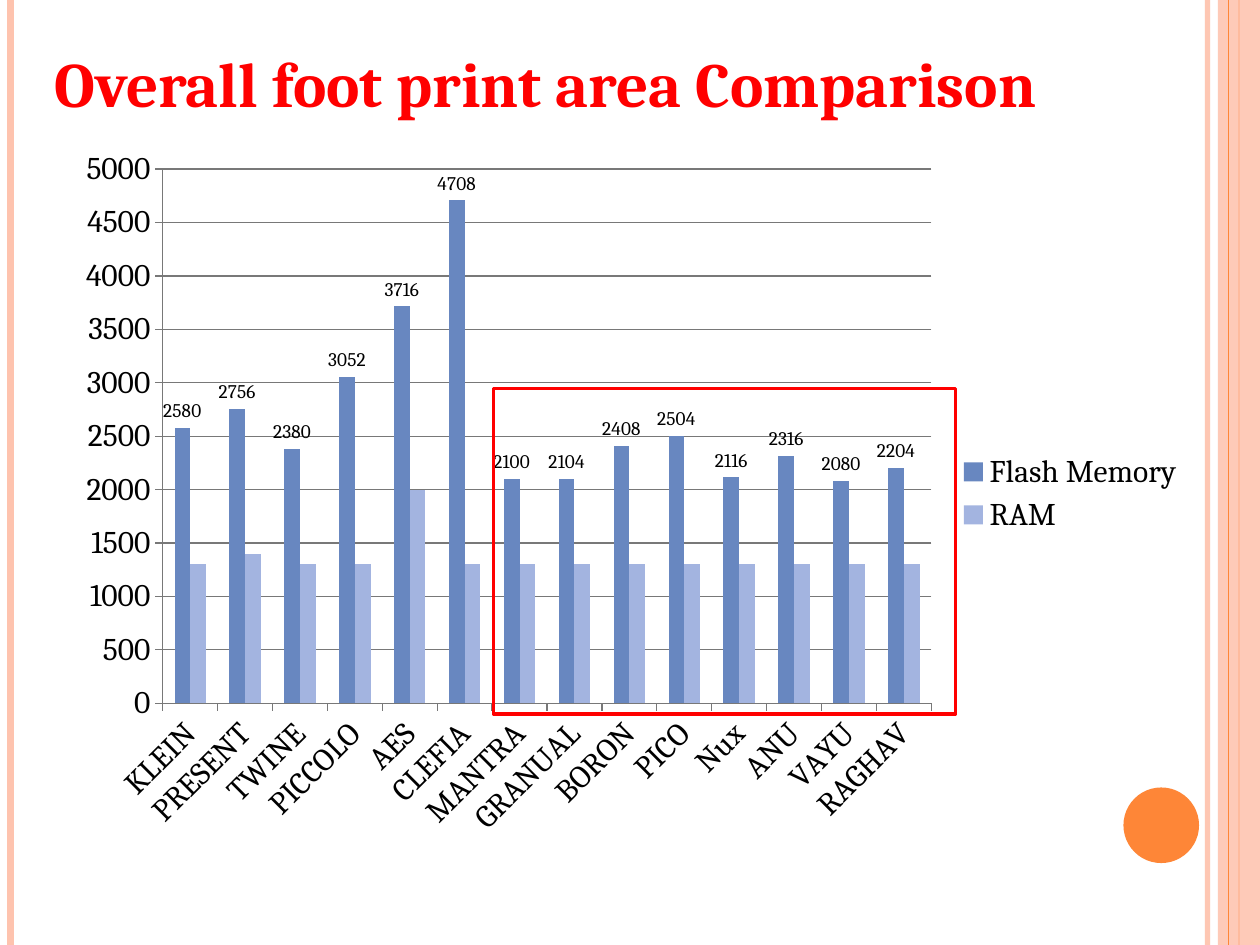
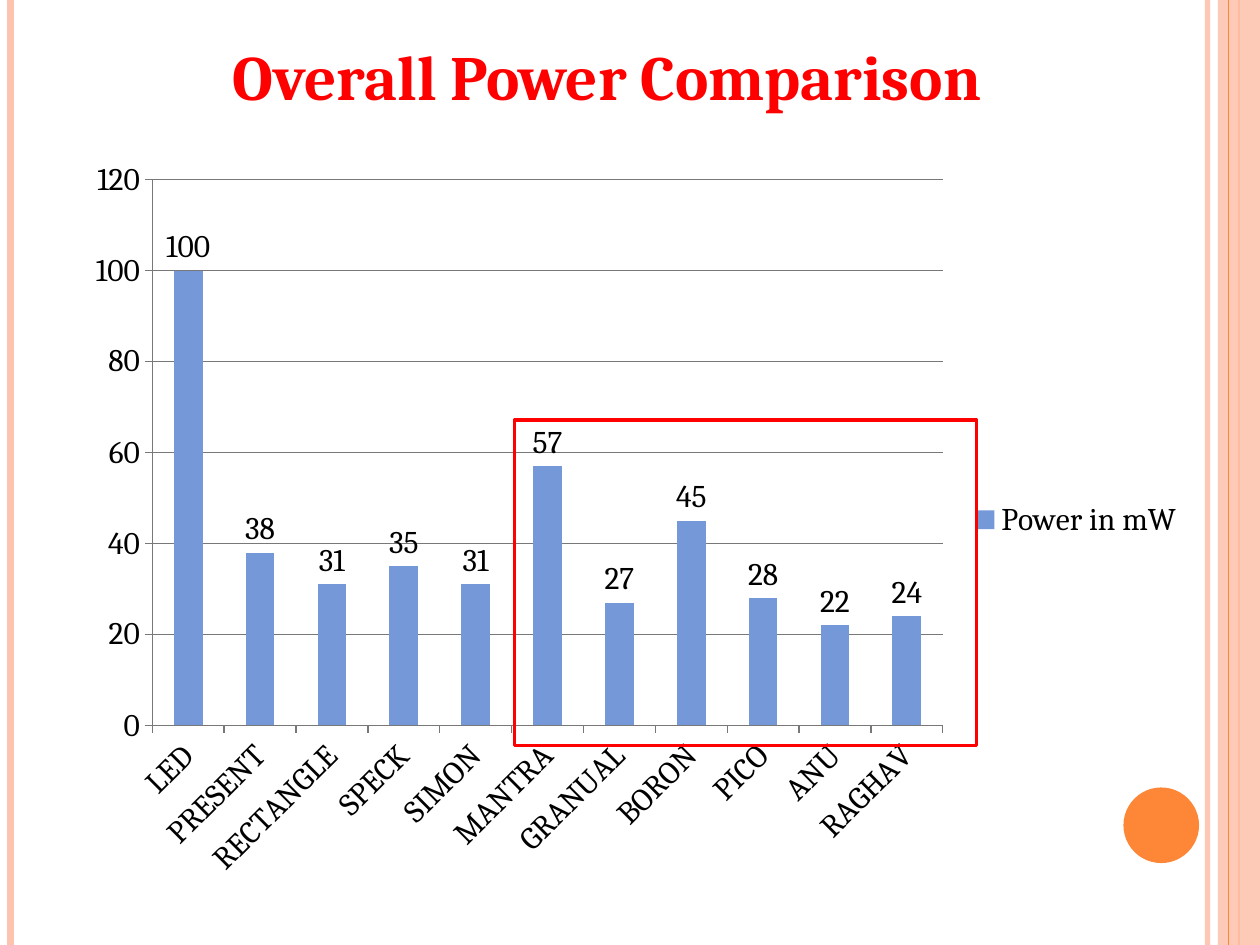
from dataclasses import dataclass

from lxml import etree
from pptx import Presentation
from pptx import util as u
from pptx.chart.data import CategoryChartData
from pptx.dml.color import RGBColor
from pptx.enum import chart as charts, shapes, text
from pptx.oxml import parse_xml
from pptx.oxml.ns import nsdecls, qn

EMU_PER_PX = 7620  # 120 px to the inch
SLIDE_BOX = (0, 0, 1200, 900)


@dataclass(frozen=True)
class Theme:
    font: str = "Cambria"
    title_size: int = 36
    chart_size: int = 18
    small_label_size: int = 11
    black: str = "000000"
    red: str = "FF0000"
    peach: str = "FEC3AE"
    orange: str = "FE8637"
    grid: str = "787878"
    dark_blue: str = "6887C0"
    light_blue: str = "A3B4E0"
    blue: str = "7598D9"


THEME = Theme()


@dataclass(frozen=True)
class Series:
    name: str
    values: tuple
    color: str
    label_size: int = 0  # 0 leaves the bars unlabelled


def px(length):
    return u.Emu(length * EMU_PER_PX)


def px_box(box):
    return [px(length) for length in box]


def rgb(color):
    return RGBColor.from_string(color)


def set_alpha(element, percent):
    color = next(element.iter(qn("a:srgbClr")))
    etree.SubElement(color, qn("a:alpha")).set("val", str(percent * 1000))


def style_font(font, size, color=THEME.black, bold=False):
    font.name = THEME.font
    font.size = u.Pt(size)
    font.bold = bold
    font.color.rgb = rgb(color)


def style_line(line, color, width):
    line.color.rgb = rgb(color)
    line.width = u.Pt(width)


def add_filled_shape(slide, kind, box, color):
    shape = slide.shapes.add_shape(kind, *px_box(box))
    shape.shadow.inherit = False
    shape.fill.solid()
    shape.fill.fore_color.rgb = rgb(color)
    shape.line.fill.background()
    return shape


def add_vertical_line(slide, x, top, height, color, width):
    connector = slide.shapes.add_connector(
        shapes.MSO_CONNECTOR.STRAIGHT, px(x), px(top), px(x), px(top + height))
    style_line(connector.line, color, width)
    etree.SubElement(connector._element.spPr, qn("a:effectLst"))
    return connector


def add_side_bands(slide, box):
    """Stripes along both edges and the round badge at lower right."""
    left, top, width, height = box
    right = left + width
    inner = add_vertical_line(slide, right - 50, top, height, THEME.peach, 3)
    set_alpha(inner._element, 93)
    add_vertical_line(slide, left + 10, top, height, THEME.peach, 4.5)
    add_vertical_line(slide, right - 20, top, height, THEME.orange, 1.5)
    band = add_filled_shape(slide, shapes.MSO_SHAPE.RECTANGLE,
                            (right - 40, top, 40, height), THEME.peach)
    set_alpha(band._element, 87)
    add_vertical_line(slide, right - 30, top, height, THEME.orange, 0.75)
    add_filled_shape(slide, shapes.MSO_SHAPE.OVAL,
                     (right - 130, top + height - 150, 72, 72), THEME.orange)


def add_title(slide, box, title):
    frame = slide.shapes.add_textbox(*px_box(box)).text_frame
    frame.word_wrap = True
    frame.auto_size = text.MSO_AUTO_SIZE.SHAPE_TO_FIT_TEXT
    frame.text = title
    style_font(frame.paragraphs[0].runs[0].font, THEME.title_size, THEME.red, True)


def set_plot_area(chart, chart_box, plot_box):
    """Fix the inner plot area, as fractions of the chart box."""
    left, top, width, height = chart_box
    fractions = {
        "x": (plot_box[0] - left) / width,
        "y": (plot_box[1] - top) / height,
        "w": plot_box[2] / width,
        "h": plot_box[3] / height,
    }
    modes = '<c:xMode val="edge"/><c:yMode val="edge"/>'
    sizes = "".join(f'<c:{key} val="{value:.4f}"/>' for key, value in fractions.items())
    layout = parse_xml(
        f'<c:layout {nsdecls("c")}><c:manualLayout><c:layoutTarget val="inner"/>'
        f"{modes}{sizes}</c:manualLayout></c:layout>")
    plot_area = next(chart._chartSpace.iter(qn("c:plotArea")))
    for previous in plot_area.findall(qn("c:layout")):
        plot_area.remove(previous)
    plot_area.insert(0, layout)


def style_axes(chart, maximum, step):
    value_axis, category_axis = chart.value_axis, chart.category_axis
    value_axis.minimum_scale = 0
    value_axis.maximum_scale = maximum
    value_axis.major_unit = step
    value_axis.has_major_gridlines = True
    style_line(value_axis.major_gridlines.format.line, THEME.grid, 0.75)
    for axis in (value_axis, category_axis):
        axis.major_tick_mark = charts.XL_TICK_MARK.OUTSIDE
        style_line(axis.format.line, THEME.grid, 0.75)
        style_font(axis.tick_labels.font, THEME.chart_size)
    # Category names slant upwards at 45 degrees
    category_axis._element.txPr.find(qn("a:bodyPr")).set("rot", "-2700000")


def style_series(plot, series_list):
    plot.gap_width = 150
    plot.overlap = 0
    plot.vary_by_categories = False
    for bars, series in zip(plot.series, series_list):
        bars.format.fill.solid()
        bars.format.fill.fore_color.rgb = rgb(series.color)
        if series.label_size:
            labels = bars.data_labels
            labels.show_value = True
            labels.position = charts.XL_LABEL_POSITION.OUTSIDE_END
            style_font(labels.font, series.label_size)


def add_column_chart(slide, box, plot_box, categories, series_list, maximum, step):
    data = CategoryChartData()
    data.categories = categories
    for series in series_list:
        data.add_series(series.name, series.values)
    chart = slide.shapes.add_chart(
        charts.XL_CHART_TYPE.COLUMN_CLUSTERED, *px_box(box), data).chart
    style_font(chart.font, THEME.chart_size)
    chart.has_title = False
    chart.has_legend = True
    chart.legend.position = charts.XL_LEGEND_POSITION.RIGHT
    chart.legend.include_in_layout = False
    style_font(chart.legend.font, THEME.chart_size)
    style_axes(chart, maximum, step)
    style_series(chart.plots[0], series_list)
    set_plot_area(chart, box, plot_box)


def add_highlight(slide, left, top):
    frame = slide.shapes.add_shape(
        shapes.MSO_SHAPE.RECTANGLE, *px_box((left, top, 440, 310)))
    frame.shadow.inherit = False
    frame.fill.background()
    style_line(frame.line, THEME.red, 2)


def add_comparison_slide(presentation, title, title_box, chart, highlight):
    slide = presentation.slides.add_slide(presentation.slide_layouts[6])
    add_side_bands(slide, SLIDE_BOX)
    add_title(slide, title_box, title)
    add_column_chart(slide, **chart)
    add_highlight(slide, *highlight)


def main():
    presentation = Presentation()
    presentation.slide_width, presentation.slide_height = px_box(SLIDE_BOX[2:])

    # Memory footprint
    add_comparison_slide(
        presentation, "Overall foot print area Comparison", (40, 36, 1100, 85),
        chart=dict(
            box=(60, 130, 1080, 680), plot_box=(155, 161, 732, 509),
            categories=("KLEIN", "PRESENT", "TWINE", "PICCOLO", "AES", "CLEFIA",
                        "MANTRA", "GRANUAL", "BORON", "PICO", "Nux", "ANU",
                        "VAYU", "RAGHAV"),
            series_list=(
                Series("Flash Memory",
                       (2580, 2756, 2380, 3052, 3716, 4708, 2100, 2104, 2408,
                        2504, 2116, 2316, 2080, 2204),
                       THEME.dark_blue, THEME.small_label_size),
                Series("RAM",
                       (1300, 1400, 1300, 1300, 2000, 1300, 1300, 1300, 1300,
                        1300, 1300, 1300, 1300, 1300),
                       THEME.light_blue)),
            maximum=5000, step=500),
        highlight=(470, 370))

    # Power
    add_comparison_slide(
        presentation, "Overall Power Comparison", (210, 30, 760, 85),
        chart=dict(
            box=(70, 140, 1070, 710), plot_box=(145, 171, 753, 520),
            categories=("LED", "PRESENT", "RECTANGLE", "SPECK", "SIMON", "MANTRA",
                        "GRANUAL", "BORON", "PICO", "ANU", "RAGHAV"),
            series_list=(
                Series("Power in mW", (100, 38, 31, 35, 31, 57, 27, 45, 28, 22, 24),
                       THEME.blue, THEME.chart_size),),
            maximum=120, step=20),
        highlight=(490, 400))

    presentation.save("out.pptx")


if __name__ == "__main__":
    main()
